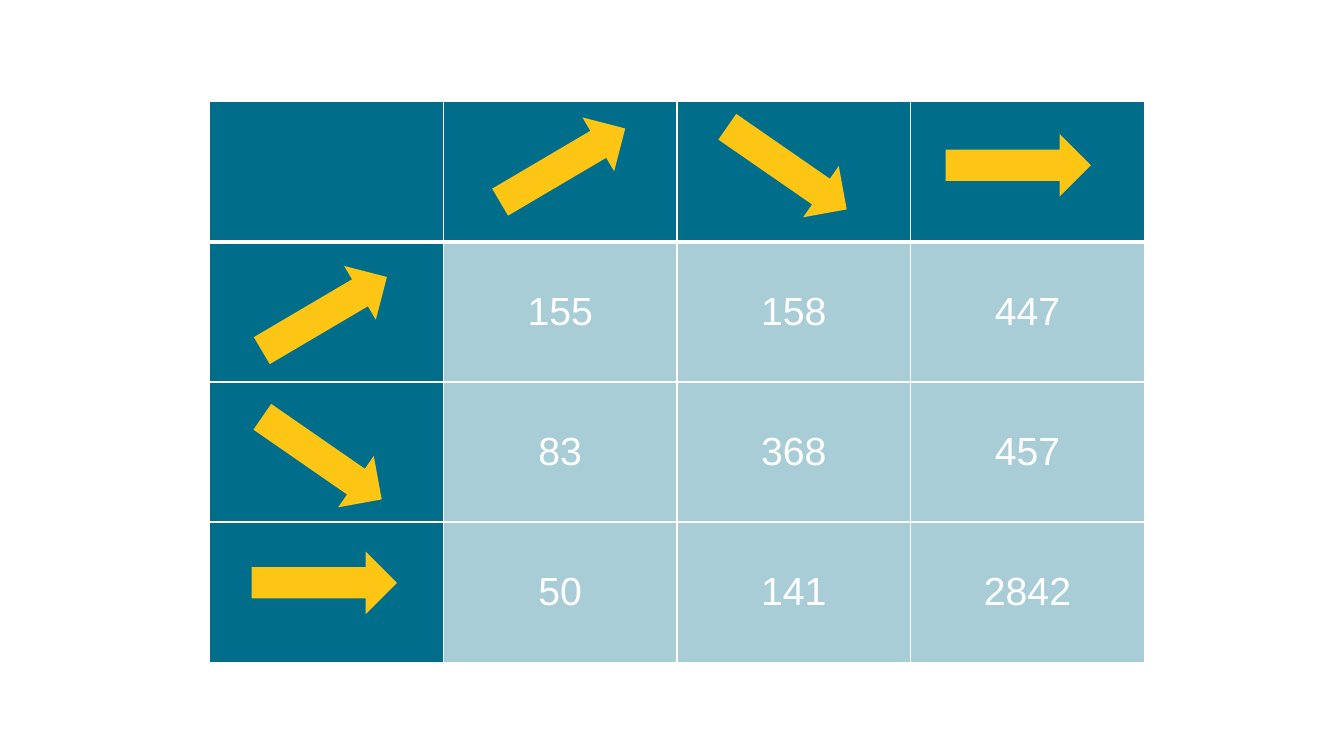
from dataclasses import dataclass

from lxml import etree
from pptx import Presentation, util as u
from pptx.dml.color import RGBColor
from pptx.enum import shapes, text
from pptx.oxml.ns import qn


@dataclass(frozen=True)
class Theme:
    teal: str = "006E8A"
    white: str = "FFFFFF"
    gold: str = "FDC514"
    font: str = "Arial"
    count_size: int = 28
    count_opacity: int = 34  # percent
    rule: int = 1  # points
    header_rule: int = 3


THEME = Theme()
SLIDE_W, SLIDE_H = 13.33, 7.5
MATRIX_BOX = (2.08, 1.01, 9.27, 5.56)
ARROW_W, ARROW_H = 1.44, 0.62
UP, DOWN, FLAT = 329.5, 34.7, 0

COUNTS = [
    [155, 158, 447],
    [83, 368, 457],
    [50, 141, 2842],
]
# Row, column, rotation, and offset inside the cell as shares of its size
TRENDS = [
    (0, 1, UP, 0.20, 0.23),
    (0, 2, DOWN, 0.16, 0.25),
    (0, 3, FLAT, 0.15, 0.23),
    (1, 0, UP, 0.18, 0.29),
    (2, 0, DOWN, 0.17, 0.32),
    (3, 0, FLAT, 0.18, 0.21),
]


def write(frame, words, *, size, color, align=text.PP_ALIGN.CENTER):
    paragraph = frame.paragraphs[0]
    paragraph.alignment = align
    run = paragraph.add_run()
    run.text = words
    run.font.name = THEME.font
    run.font.size = u.Pt(size)
    run.font.color.rgb = RGBColor.from_string(color)


def paint(fill, color):
    fill.solid()
    fill.fore_color.rgb = RGBColor.from_string(color)


def set_borders(cell, widths):
    """Add cell borders; widths are given left, right, top, bottom."""
    properties = cell._tc.get_or_add_tcPr()
    for position, (side, width) in enumerate(zip("LRTB", widths)):
        line = etree.Element(qn(f"a:ln{side}"), w=str(u.Pt(width)))
        solid = etree.SubElement(line, qn("a:solidFill"))
        etree.SubElement(solid, qn("a:srgbClr"), val=THEME.white)
        properties.insert(position, line)


def set_opacity(cell, percent):
    color = cell._tc.tcPr.find(f"{qn('a:solidFill')}/{qn('a:srgbClr')}")
    etree.SubElement(color, qn("a:alpha"), val=str(percent * 1000))


def add_matrix(slide, box):
    """Transition counts with a header row and a header column."""
    size = len(COUNTS) + 1
    matrix = slide.shapes.add_table(size, size, *map(u.Inches, box)).table
    matrix.first_row = matrix.horz_banding = False
    for column in matrix.columns:
        column.width = u.Inches(box[2] / size)
    for row in matrix.rows:
        row.height = u.Inches(box[3] / size)

    for r in range(size):
        for c in range(size):
            cell = matrix.cell(r, c)
            paint(cell.fill, THEME.teal)
            top = THEME.header_rule if r == 1 else THEME.rule
            bottom = THEME.header_rule if r == 0 else THEME.rule
            set_borders(cell, (THEME.rule, THEME.rule, top, bottom))
            if r and c:
                set_opacity(cell, THEME.count_opacity)
                cell.vertical_anchor = text.MSO_ANCHOR.MIDDLE
                write(cell.text_frame, str(COUNTS[r - 1][c - 1]),
                      size=THEME.count_size, color=THEME.white)


def add_trends(slide, box):
    """Trend arrows over the header cells."""
    left, top, width, height = box
    size = len(COUNTS) + 1
    for row, column, rotation, dx, dy in TRENDS:
        trend = slide.shapes.add_shape(
            shapes.MSO_SHAPE.RIGHT_ARROW,
            u.Inches(left + (column + dx) * width / size),
            u.Inches(top + (row + dy) * height / size),
            u.Inches(ARROW_W), u.Inches(ARROW_H))
        trend.rotation = rotation
        trend.shadow.inherit = False
        trend.line.fill.background()
        paint(trend.fill, THEME.gold)


def main():
    deck = Presentation()
    deck.slide_width, deck.slide_height = u.Inches(SLIDE_W), u.Inches(SLIDE_H)
    slide = deck.slides.add_slide(deck.slide_layouts[6])  # blank layout
    paint(slide.background.fill, THEME.white)
    add_matrix(slide, MATRIX_BOX)
    add_trends(slide, MATRIX_BOX)
    deck.save("out.pptx")


if __name__ == "__main__":
    main()
